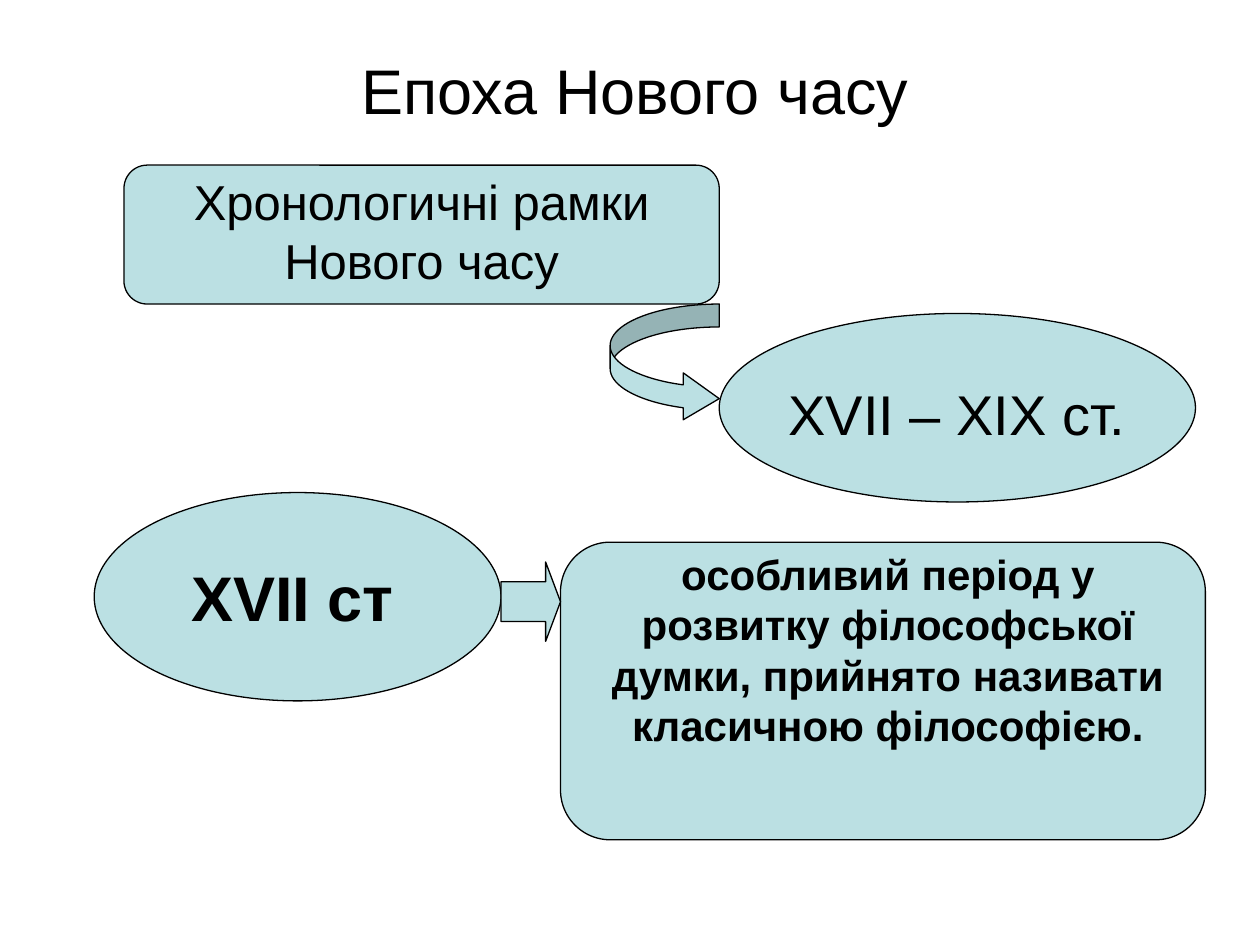
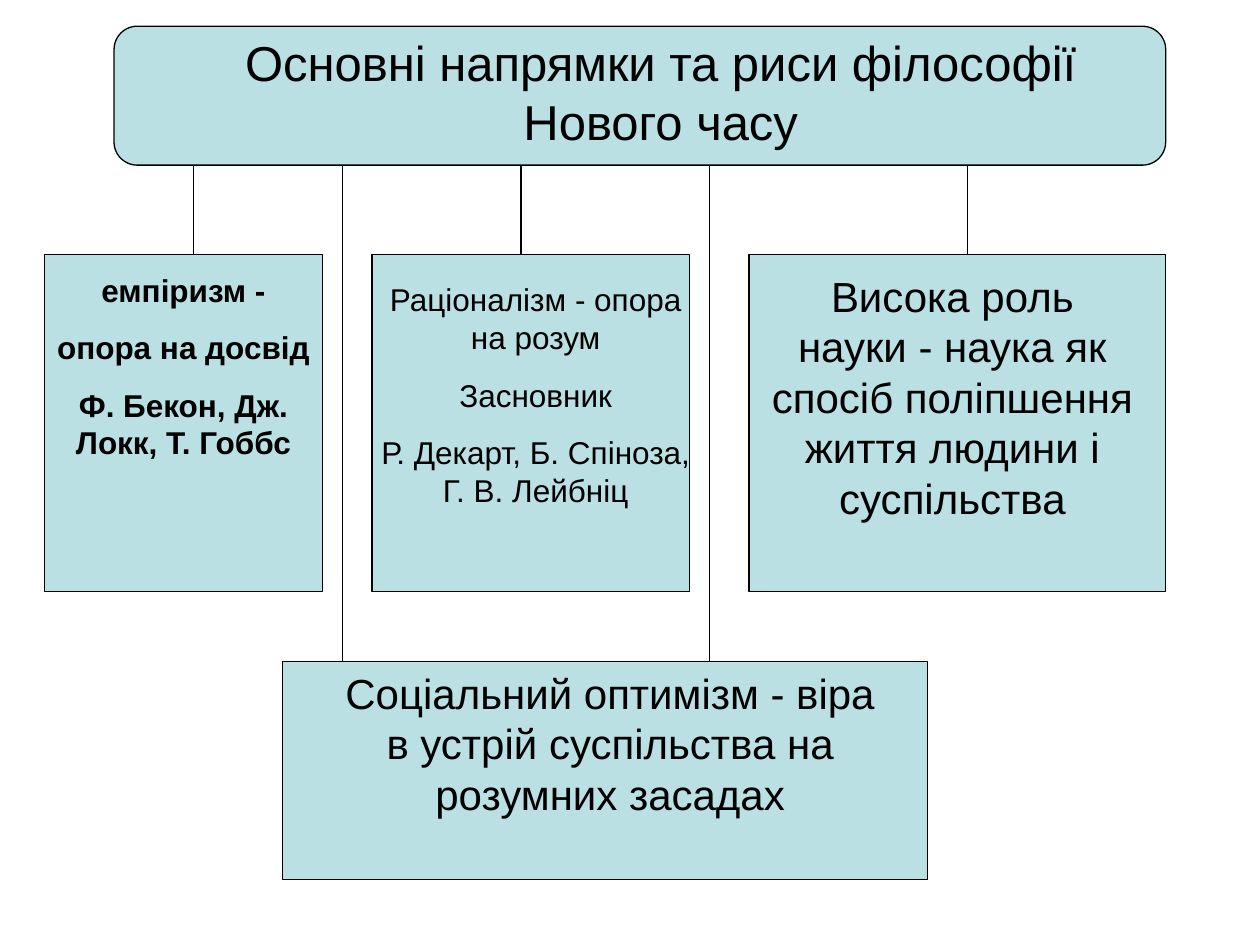
from lxml.etree import SubElement
from pptx import Presentation
from pptx.dml.color import RGBColor
from pptx.enum.shapes import MSO_CONNECTOR, MSO_SHAPE
from pptx.enum.text import PP_ALIGN
from pptx.oxml.ns import qn
from pptx.util import Cm, Pt

FONT = "Arial"
INK = "000000"
PANEL = "BBE0E3"
OUTLINE_PT = 0.75
SPACE_BEFORE_RATIO = 0.625
CORNER = [0.167]

EPOCH_PANELS = [
    (MSO_SHAPE.ROUNDED_RECTANGLE, (2.5, 3.33, 12, 2.8), CORNER),
    (MSO_SHAPE.OVAL, (14.5, 6.32, 9.6, 3.8), []),
    (MSO_SHAPE.CURVED_RIGHT_ARROW, (12.3, 6.13, 2.2, 2.38), [0.21, 0.43, 0.33]),
    (MSO_SHAPE.OVAL, (1.9, 9.93, 8.2, 4.2), []),
    (MSO_SHAPE.ROUNDED_RECTANGLE, (11.3, 10.93, 13, 6), CORNER),
    (MSO_SHAPE.RIGHT_ARROW, (10.1, 11.33, 1.2, 1.6), [0.5, 0.25]),
]
EPOCH_TEXTS = [
    ((2.1, 0.91, 21.4, 1.78), 36, False, ["Епоха Нового часу"]),
    ((2.9, 3.33, 11.2, 2.64), 28, False, ["Хронологичні рамки Нового часу"]),
    ((15.3, 7.53, 8, 1.63), 32, False, ["XVII – XIX ст."]),
    ((2.5, 11.13, 6.8, 1.78), 36, True, ["XVII ст"]),
    ((11.9, 10.93, 12, 4.32), 24, True,
     ["особливий період у розвитку філософської думки, "
      "прийнято називати класичною філософією."]),
]

HEADING_BOTTOM = 3.33
TRENDS_TOP, TRENDS_HEIGHT = 5.13, 6.8
OPTIMISM_TOP = 13.33
TREND_COLUMNS = [(0.9, 5.6), (7.5, 6.4), (15.1, 8.4)]

TREND_PANELS = [
    (MSO_SHAPE.ROUNDED_RECTANGLE, (2.3, 0.53, 21.2, 2.8), CORNER),
    *((MSO_SHAPE.RECTANGLE, (left, TRENDS_TOP, width, TRENDS_HEIGHT), [])
      for left, width in TREND_COLUMNS),
    (MSO_SHAPE.RECTANGLE, (5.7, OPTIMISM_TOP, 13, 4.4), []),
]
TREND_TEXTS = [
    ((3.12, 0.53, 20.4, 2.64), 28, False,
     ["Основні напрямки та риси філософії Нового часу"]),
    ((0.9, 5.33, 5.6, 4.88), 18, True,
     ["емпіризм -", "опора на досвід", "Ф. Бекон, Дж. Локк, Т. Гоббс"]),
    ((7.3, 5.53, 7, 4.88), 18, False,
     ["Раціоналізм - опора на розум", "Засновник",
      "Р. Декарт, Б. Спіноза, Г. В. Лейбніц"]),
    ((15.3, 5.33, 7.8, 5.33), 24, False,
     ["Висока роль науки - наука як спосіб поліпшення життя людини і суспільства"]),
    ((6.7, OPTIMISM_TOP, 11.2, 3.3), 24, False,
     ["Соціальний оптимізм - віра в устрій суспільства на розумних засадах"]),
]
TREND_BRANCHES = [
    (3.9, TRENDS_TOP), (10.5, TRENDS_TOP), (19.5, TRENDS_TOP),
    (14.3, OPTIMISM_TOP), (6.9, OPTIMISM_TOP),
]

SLIDES = [
    (EPOCH_PANELS, EPOCH_TEXTS, []),
    (TREND_PANELS, TREND_TEXTS, TREND_BRANCHES),
]


def color(hex_value):
    return RGBColor.from_string(hex_value)


def outline(line):
    line.color.rgb = color(INK)
    line.width = Pt(OUTLINE_PT)


def add_panel(slide, kind, box, adjustments):
    panel = slide.shapes.add_shape(kind, *map(Cm, box))
    for index, value in enumerate(adjustments):
        panel.adjustments[index] = value
    panel.shadow.inherit = False
    panel.fill.solid()
    panel.fill.fore_color.rgb = color(PANEL)
    outline(panel.line)


def add_text(slide, box, size, bold, lines):
    frame = slide.shapes.add_textbox(*map(Cm, box)).text_frame
    frame.word_wrap = True
    frame.text = "\n".join(lines)
    for paragraph in frame.paragraphs:
        paragraph.alignment = PP_ALIGN.CENTER
        paragraph.space_before = Pt(size * SPACE_BEFORE_RATIO)
        paragraph.font.name = FONT
        paragraph.font.size = Pt(size)
        paragraph.font.bold = bold
        paragraph.font.color.rgb = color(INK)


def add_branch(slide, x, bottom):
    branch = slide.shapes.add_connector(
        MSO_CONNECTOR.STRAIGHT, Cm(x), Cm(HEADING_BOTTOM), Cm(x), Cm(bottom))
    outline(branch.line)
    SubElement(branch._element.spPr, qn("a:effectLst"))


def main():
    deck = Presentation()
    deck.slide_width, deck.slide_height = Cm(25.4), Cm(19.05)
    for panels, texts, branches in SLIDES:
        slide = deck.slides.add_slide(deck.slide_layouts[6])
        for panel in panels:
            add_panel(slide, *panel)
        for text in texts:
            add_text(slide, *text)
        for branch in branches:
            add_branch(slide, *branch)
    deck.save("out.pptx")


if __name__ == "__main__":
    main()
